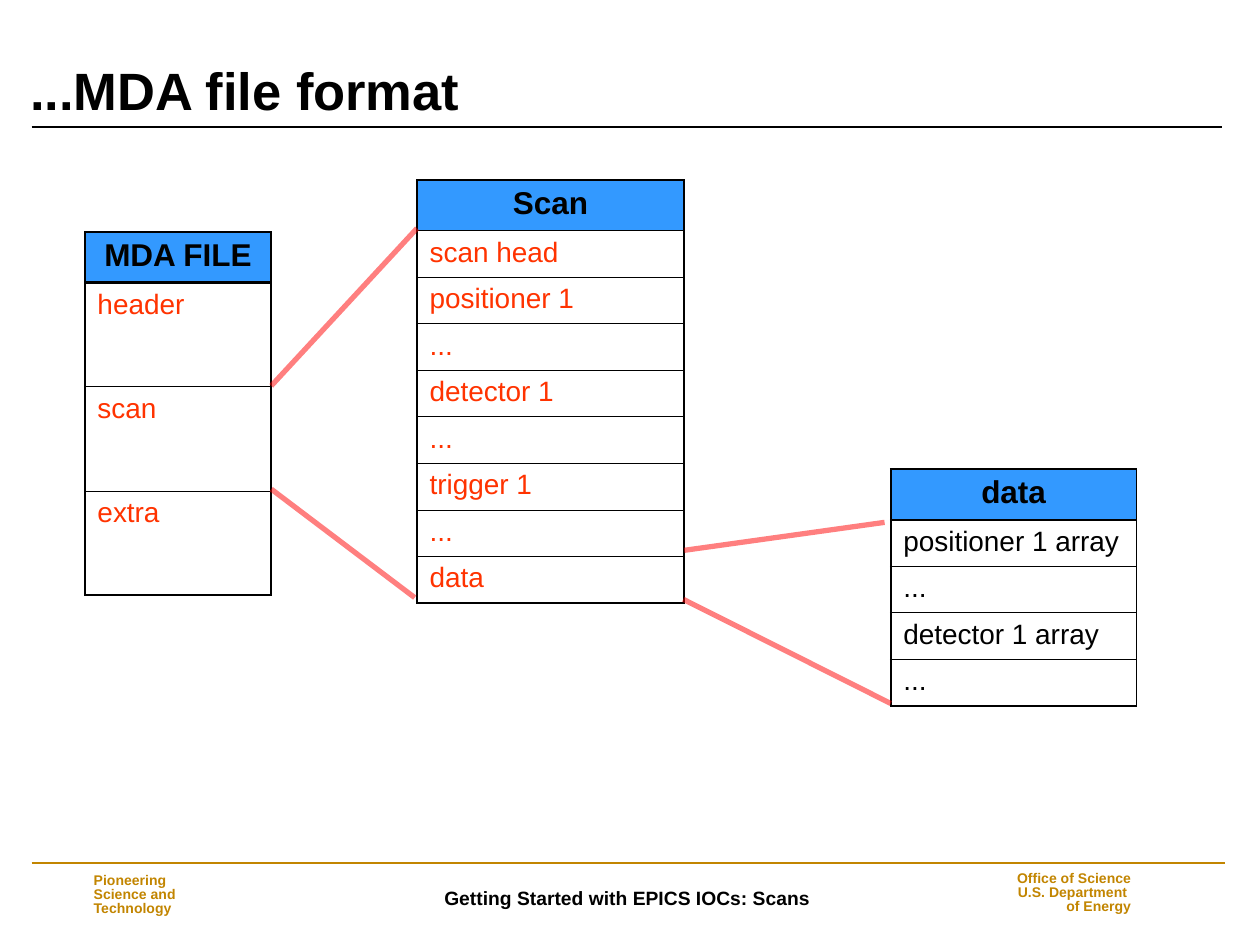
from lxml.etree import SubElement
from pptx import Presentation
from pptx.dml.color import RGBColor
from pptx.enum.shapes import MSO_CONNECTOR
from pptx.enum.text import MSO_ANCHOR as Anchor, MSO_AUTO_SIZE, PP_ALIGN as Align
from pptx.oxml.ns import qn
from pptx.util import Pt

BLACK = RGBColor(0x00, 0x00, 0x00)
GOLD = RGBColor(0xC2, 0x85, 0x00)
HEADER_BLUE = RGBColor(0x33, 0x99, 0xFF)
ORANGE_RED = RGBColor(0xFF, 0x33, 0x00)
RED = RGBColor(0xFF, 0x00, 0x00)

FONT = "Arial"
HAIRLINE, OUTLINE, HEAVY = 0.45, 1.08, 1.47
HEADER_HEIGHT = 29
ROW_HEIGHT = 26.6


def format_run(run, size, color, bold):
    font = run.font
    font.name = FONT
    font.size = Pt(size)
    font.bold = bold
    font.color.rgb = color


def set_paragraph(paragraph, text, size, color, bold=True, align=Align.LEFT, spacing=None):
    """Write the text into the paragraph; a newline becomes a line break."""
    paragraph.alignment = align
    paragraph.line_spacing = spacing
    for index, line in enumerate(text.split("\n")):
        if index:
            paragraph.add_line_break()
        run = paragraph.add_run()
        run.text = line
        format_run(run, size, color, bold)


def place(shape, left, top, width, height):
    shape.left, shape.top = Pt(left), Pt(top)
    shape.width, shape.height = Pt(width), Pt(height)


def add_title(slide, text):
    title = slide.shapes.title
    place(title, 10, 37.5, 690, 36)
    frame = title.text_frame
    frame.word_wrap = True
    frame.auto_size = MSO_AUTO_SIZE.NONE
    frame.vertical_anchor = Anchor.BOTTOM
    frame.margin_top = 0
    set_paragraph(frame.paragraphs[0], text, 30, BLACK, spacing=0.9)


def add_text(slide, box, paragraphs, size, color, align=Align.LEFT, spacing=None):
    frame = slide.shapes.add_textbox(*map(Pt, box)).text_frame
    frame.word_wrap = True
    frame.vertical_anchor = Anchor.MIDDLE
    for index, text in enumerate(paragraphs):
        paragraph = frame.add_paragraph() if index else frame.paragraphs[0]
        set_paragraph(paragraph, text, size, color, align=align, spacing=spacing)


def add_line(slide, start, end, color, width, opacity=None):
    line = slide.shapes.add_connector(
        MSO_CONNECTOR.STRAIGHT, *map(Pt, (*start, *end)))
    line.line.color.rgb = color
    line.line.width = Pt(width)
    properties = line._element.spPr
    SubElement(properties, qn("a:effectLst"))
    if opacity is not None:
        fill_color = next(properties.iter(qn("a:srgbClr")))
        SubElement(fill_color, qn("a:alpha"), val=str(opacity * 1000))


def set_borders(cell, top, bottom):
    """Draw black borders; left and right always have the outline width."""
    properties = cell._tc.get_or_add_tcPr()
    sides = {"a:lnL": OUTLINE, "a:lnR": OUTLINE, "a:lnT": top, "a:lnB": bottom}
    for tag, width in sides.items():
        border = SubElement(properties, qn(tag), w=str(Pt(width)))
        fill = SubElement(border, qn("a:solidFill"))
        SubElement(fill, qn("a:srgbClr"), val=str(BLACK))


def add_record(slide, left, top, width, header, fields, color,
               row_height=ROW_HEIGHT, header_rule=HEAVY):
    """Add a one-column table with a blue header above its fields."""
    count = len(fields) + 1
    height = HEADER_HEIGHT + row_height * len(fields)
    table = slide.shapes.add_table(
        count, 1, Pt(left), Pt(top), Pt(width), Pt(height)).table
    table.first_row = table.horz_banding = False
    rules = [OUTLINE, header_rule] + [HAIRLINE] * (len(fields) - 1) + [OUTLINE]
    for index, text in enumerate([header, *fields]):
        is_header = index == 0
        table.rows[index].height = Pt(HEADER_HEIGHT if is_header else row_height)
        cell = table.cell(index, 0)
        set_borders(cell, rules[index], rules[index + 1])
        paragraph = cell.text_frame.paragraphs[0]
        if is_header:
            cell.fill.solid()
            cell.fill.fore_color.rgb = HEADER_BLUE
            set_paragraph(paragraph, text, 18, BLACK, align=Align.CENTER)
        else:
            cell.fill.background()
            set_paragraph(paragraph, text, 16, color, bold=False)


def add_footer(slide):
    add_text(slide, (145.5, 496, 426, 34.5),
             ["Getting Started with EPICS IOCs: Scans"], 11, BLACK, Align.CENTER)
    add_line(slide, (18, 493), (700, 493), GOLD, 1)
    add_text(slide, (46.5, 495.5, 105, 32),
             ["Pioneering \nScience and\nTechnology"], 8, GOLD, spacing=0.85)
    add_text(slide, (564.5, 494.5, 89, 32),
             ["Office of Science", " U.S. Department ", "of Energy"],
             8, GOLD, Align.RIGHT, 0.85)


def main():
    presentation = Presentation()
    presentation.slide_width, presentation.slide_height = Pt(720), Pt(540)
    slide = presentation.slides.add_slide(presentation.slide_layouts[5])

    add_footer(slide)
    add_line(slide, (18, 72.6), (698.5, 72.6), BLACK, 1.5)
    add_title(slide, "...MDA file format")

    add_record(slide, 48.5, 132.5, 106.5, "MDA FILE",
               ["header", "scan", "extra"], ORANGE_RED, row_height=59.5)
    add_record(slide, 238.3, 102.8, 152.5, "Scan",
               ["scan head", "positioner 1", "...", "detector 1", "...",
                "trigger 1", "...", "data"], ORANGE_RED, header_rule=HAIRLINE)
    add_record(slide, 509, 268, 140.5, "data",
               ["positioner 1 array", "...", "detector 1 array", "..."], BLACK)

    expansion_lines = [
        ((155, 220.5), (238.3, 130.5)),
        ((155, 279.5), (237, 341.5)),
        ((391, 314.5), (505.5, 298.5)),
        ((390.5, 342.5), (509, 402)),
    ]
    for start, end in expansion_lines:
        add_line(slide, start, end, RED, 3, opacity=50)

    presentation.save("out.pptx")


if __name__ == "__main__":
    main()
